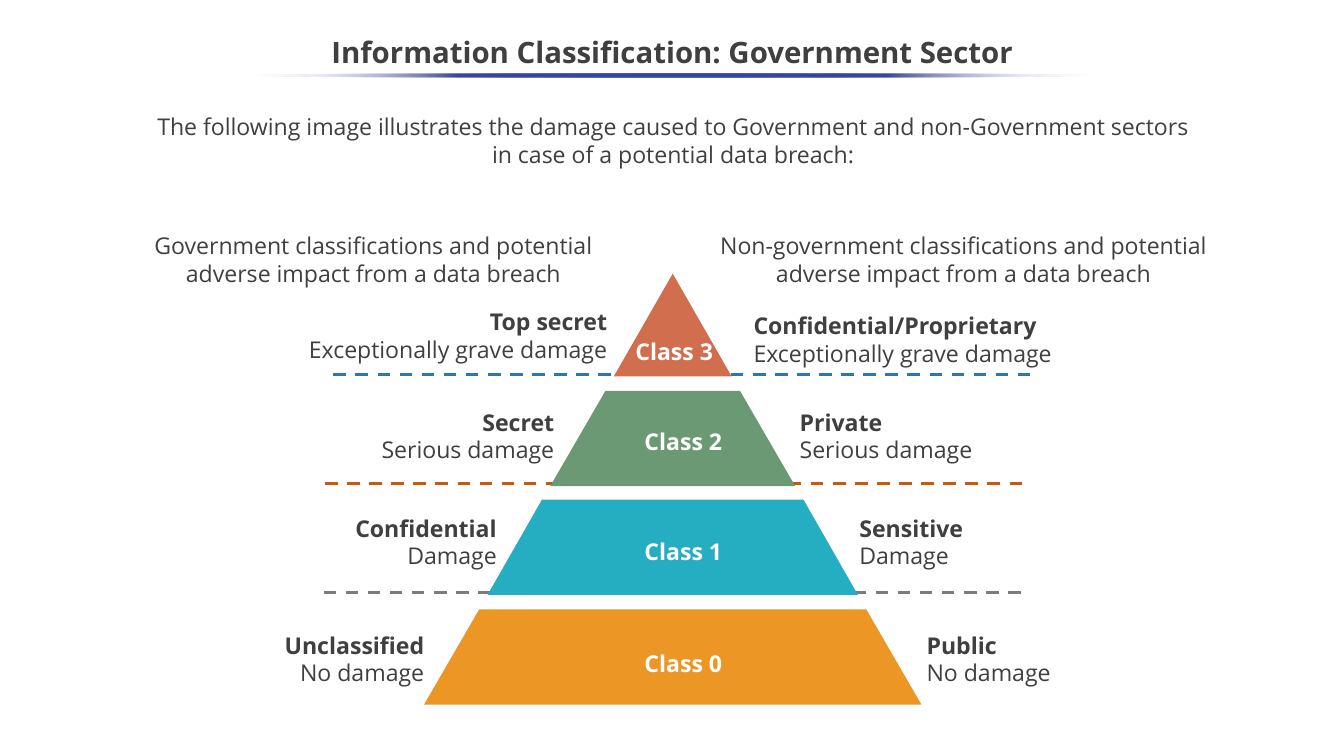
from dataclasses import dataclass

from lxml.etree import SubElement
from pptx import Presentation
from pptx.dml.color import RGBColor
from pptx.enum.dml import MSO_LINE
from pptx.enum.shapes import MSO_CONNECTOR, MSO_SHAPE
from pptx.enum.text import MSO_ANCHOR as Anchor, PP_ALIGN as Align
from pptx.oxml.ns import qn
from pptx.util import Pt

PX = 9144  # EMU in one px, at 100 px to the inch


@dataclass(frozen=True)
class Theme:
    font: str = "Open Sans"
    ink: str = "3F3F3F"
    white: str = "FFFFFF"
    accent: str = "3645A9"
    title_size: int = 28
    body_size: int = 22


@dataclass(frozen=True)
class Box:
    left: int
    top: int
    width: int
    height: int

    def emu(self):
        return [side * PX for side in (self.left, self.top, self.width, self.height)]

    def inner(self, left, top, width, height):
        """A box whose corner is measured from this box's corner."""
        return Box(self.left + left, self.top + top, width, height)


@dataclass(frozen=True)
class Tier:
    """One level of the pyramid, measured from the pyramid's corner."""
    name: str
    color: str
    top: int
    height: int
    name_at: tuple
    government: tuple
    government_at: tuple  # right edge and top
    private: tuple
    private_at: tuple  # left edge and top
    divider: tuple = ()  # left edge and color


THEME = Theme()
DIVIDER_WIDTH = 924
LABEL_WIDTH, LABEL_HEIGHT = 491, 84
TIERS = [
    Tier("Class 3", "D06E4E", 0, 136, (269, 79),
         ("Top secret", "Exceptionally grave damage"), (252, 40),
         ("Confidential/Proprietary", "Exceptionally grave damage"), (426, 45),
         (-120, "2E75B6")),
    Tier("Class 2", "6B9973", 155, 126, (281, 199),
         ("Secret", "Serious damage"), (182, 173),
         ("Private", "Serious damage"), (487, 173), (-131, "C55A11")),
    Tier("Class 1", "25ADC1", 299, 126, (281, 344),
         ("Confidential", "Damage"), (106, 313),
         ("Sensitive", "Damage"), (566, 313), (-133, "7C7C7C")),
    Tier("Class 0", "EC9625", 444, 126, (281, 492),
         ("Unclassified", "No damage"), (10, 468),
         ("Public", "No damage"), (655, 468)),
]


def rgb(color):
    return RGBColor.from_string(color)


def add_text(page, box, *lines, size=THEME.body_size, color=THEME.ink, bold=False,
             bold_first=False, align=Align.CENTER, anchor=Anchor.TOP, pad=5,
             spacing=None, wrap=True):
    frame = page.shapes.add_textbox(*box.emu()).text_frame
    frame.word_wrap = wrap
    frame.vertical_anchor = anchor
    frame.margin_left = frame.margin_right = 10 * PX
    frame.margin_top = frame.margin_bottom = pad * PX
    for index, line in enumerate(lines):
        para = frame.add_paragraph() if index else frame.paragraphs[0]
        para.alignment = align
        if spacing:
            para.line_spacing = spacing
        span = para.add_run()
        span.text = line
        span.font.name = THEME.font
        span.font.size = Pt(size)
        span.font.bold = bold or (bold_first and index == 0)
        span.font.color.rgb = rgb(color)


def fade_ends(shape):
    """Fill with the accent color, clear at both ends."""
    shape.fill.gradient()
    shape.fill.gradient_angle = 0
    stops = shape.fill._fill._gradFill.find(qn("a:gsLst"))
    for stop in list(stops):
        stops.remove(stop)
    for percent in range(0, 101, 25):
        is_end = percent in (0, 100)
        stop = SubElement(stops, qn("a:gs"), pos=str(percent * 1000))
        color = SubElement(stop, qn("a:srgbClr"),
                           val=THEME.white if is_end else THEME.accent)
        if is_end:
            SubElement(color, qn("a:alpha"), val="0")


def add_title(page, box, text):
    add_text(page, box, text, size=THEME.title_size, bold=True,
             anchor=Anchor.MIDDLE, spacing=0.9)
    underline = page.shapes.add_shape(MSO_SHAPE.OVAL, *box.inner(325, 63, 1128, 4).emu())
    underline.shadow.inherit = False
    underline.line.fill.background()
    fade_ends(underline)


def add_divider(page, box, color):
    left, top, width, _ = box.emu()
    divider = page.shapes.add_connector(MSO_CONNECTOR.STRAIGHT, left, top, left + width, top)
    divider.line.color.rgb = rgb(color)
    divider.line.width = Pt(3)
    divider.line.dash_style = MSO_LINE.DASH
    SubElement(divider._element.spPr, qn("a:effectLst"))


def add_tier(page, box, tier):
    """Draw the slice of the pyramid in the box, with its name and labels."""
    bottom = tier.top + tier.height
    center = box.left + box.width // 2
    if tier.divider:
        left, color = tier.divider
        add_divider(page, box.inner(left, bottom - 3, DIVIDER_WIDTH, 0), color)

    upper, lower = (round(y * box.width / box.height / 2) for y in (tier.top, bottom))
    y_top, y_bottom = box.top + tier.top, box.top + bottom
    outline = page.shapes.build_freeform(center - upper, y_top, scale=PX)
    corners = [(center + lower, y_bottom), (center - lower, y_bottom)]
    if upper:
        corners.insert(0, (center + upper, y_top))
    outline.add_line_segments(corners, close=True)
    piece = outline.convert_to_shape()
    piece.shadow.inherit = False
    piece.fill.solid()
    piece.fill.fore_color.rgb = rgb(tier.color)
    piece.line.fill.background()

    add_text(page, box.inner(*tier.name_at, 124, 47), tier.name,
             color=THEME.white, bold=True, wrap=False)
    right, top = tier.government_at
    add_text(page, box.inner(right - LABEL_WIDTH, top, LABEL_WIDTH, LABEL_HEIGHT),
             *tier.government, bold_first=True, align=Align.RIGHT)
    add_text(page, box.inner(*tier.private_at, LABEL_WIDTH, LABEL_HEIGHT),
             *tier.private, bold_first=True, align=Align.LEFT)


def add_pyramid(page, box):
    for tier in TIERS:
        add_tier(page, box, tier)


def main():
    deck = Presentation()
    deck.slide_width, deck.slide_height = 1778 * PX, 1000 * PX
    page = deck.slides.add_slide(deck.slide_layouts[6])
    add_title(page, Box(0, 35, 1778, 73), "Information Classification: Government Sector")
    add_text(page, Box(194, 139, 1393, 94),
             "The following image illustrates the damage caused to Government and "
             "non-Government sectors in case of a potential data breach:", pad=10)
    for sector, box in (("Government", Box(176, 301, 636, 84)),
                        ("Non-government", Box(940, 301, 669, 84))):
        add_text(page, box, f"{sector} classifications and potential adverse impact "
                            "from a data breach")
    add_pyramid(page, Box(561, 362, 658, 570))
    deck.save("out.pptx")


if __name__ == "__main__":
    main()
